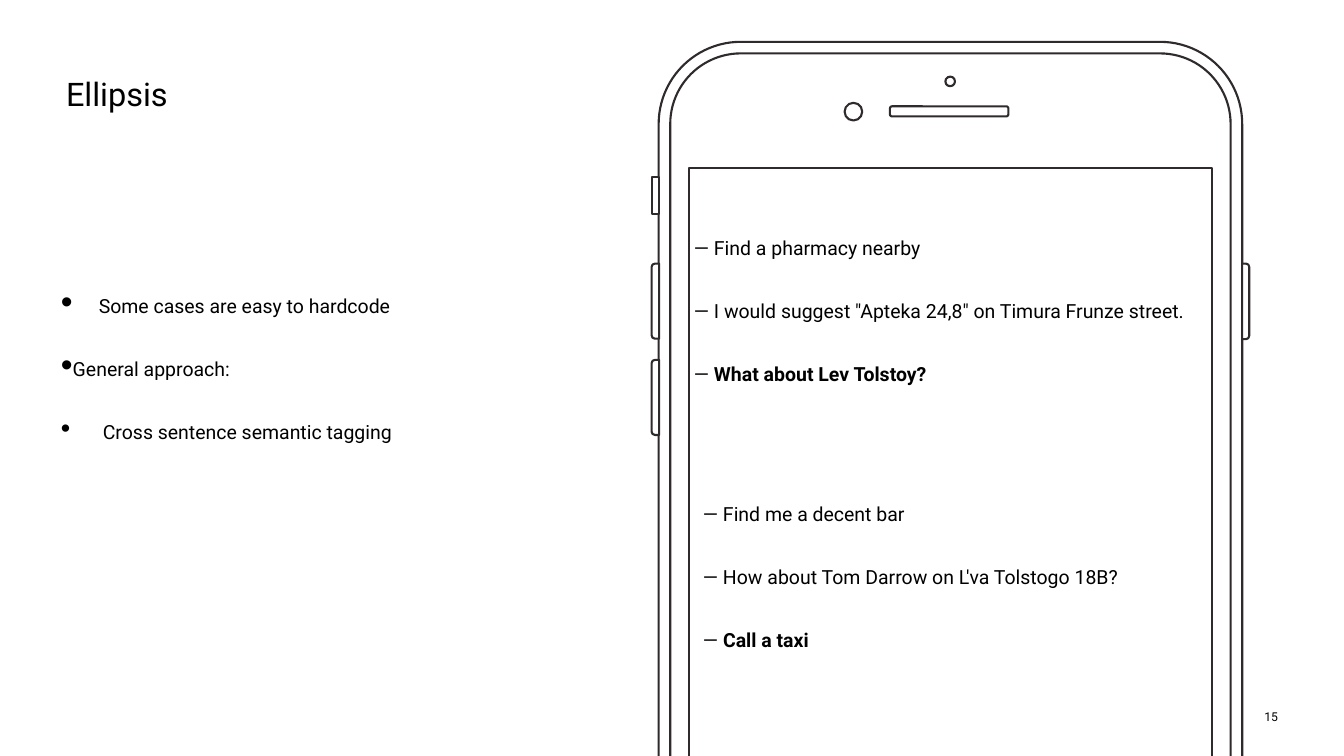
import math

from lxml import etree
from pptx import Presentation
from pptx import util as u
from pptx.dml.color import RGBColor
from pptx.enum import shapes, text
from pptx.oxml.ns import qn

PX = 9144  # EMU in one px, 100 px to the inch
WHITE = RGBColor(0xFF, 0xFF, 0xFF)
BLACK = RGBColor(0x00, 0x00, 0x00)
OUTLINE = RGBColor(0x2F, 0x2A, 0x2B)
FONT = "Roboto"
BODY_LOOK = {"size": 48, "baseline": 6, "line": 60, "before": 30}
TITLE_LOOK = {"size": 80, "baseline": -5, "line": 100, "before": 0}
NUMBER_LOOK = {"size": 30, "baseline": 6, "line": None, "before": 0}

FIRST_TALK = [
    [("— Find a pharmacy nearby", False)],
    [('— I would suggest "Apteka 24,8" on Timura Frunze street.', False)],
    [("— ", False), ("What about Lev Tolstoy?", True)],
]
SECOND_TALK = [
    [("— Find me a decent bar", False)],
    [("— How about Tom Darrow on L'va Tolstogo 18B?", False)],
    [("— ", False), ("Call a taxi", True)],
]
# wording, level, left margin, first-line indent, bullet size in percent
POINTS = [
    ("Some cases are easy to hardcode", 0, 75, -75, 100),
    ("General approach:", 0, 0, -83, 100),
    ("Cross sentence semantic tagging", 1, 83, -150, 80),
]


def place(shape, box):
    for name, value in zip(("left", "top", "width", "height"), box):
        setattr(shape, name, value * PX)


def write(shape, lines, look, anchor, align=text.PP_ALIGN.LEFT,
          fit=text.MSO_AUTO_SIZE.SHAPE_TO_FIT_TEXT):
    """Fill a shape with lines, each a list of (wording, bold) spans."""
    frame = shape.text_frame
    frame_format = {"word_wrap": True, "auto_size": fit, "vertical_anchor": anchor}
    for side in ("left", "right", "top", "bottom"):
        frame_format["margin_" + side] = 6 * PX
    for name, value in frame_format.items():
        setattr(frame, name, value)
    for index, line in enumerate(lines):
        para = frame.add_paragraph() if index else frame.paragraphs[0]
        para.alignment = align
        para.space_before = u.Pt(look["before"])
        if look["line"]:
            para.line_spacing = u.Pt(look["line"])
        for wording, bold in line:
            span = para.add_run()
            span.text = wording
            span.font.color.rgb = BLACK
            span_format = {"name": FONT, "size": u.Pt(look["size"]), "bold": bold}
            for name, value in span_format.items():
                setattr(span.font, name, value)
            span.font._element.set("baseline", str(look["baseline"] * 1000))


def text_box(page, box, lines, look, anchor, align=text.PP_ALIGN.LEFT):
    shape = page.shapes.add_textbox(*(value * PX for value in box))
    write(shape, lines, look, anchor, align)


def title(page, box):
    shape = page.shapes.title
    place(shape, box)
    write(shape, [[("Ellipsis", False)]], TITLE_LOOK, text.MSO_ANCHOR.TOP,
          fit=text.MSO_AUTO_SIZE.NONE)


def bullet_list(page, box):
    shape = page.placeholders[1]
    place(shape, box)
    write(shape, [[(point[0], False)] for point in POINTS], BODY_LOOK,
          text.MSO_ANCHOR.MIDDLE)
    for para, point in zip(shape.text_frame.paragraphs, POINTS):
        _, para.level, margin, indent, percent = point
        properties = para._p.get_or_add_pPr()
        properties.set("marL", str(margin * PX))
        properties.set("indent", str(indent * PX))
        size = etree.SubElement(properties, qn("a:buSzPct"))
        size.set("val", str(percent * 1000))
        etree.SubElement(properties, qn("a:buChar")).set("char", "•")


def outline(shape):
    shape.shadow.inherit = False
    shape.fill.solid()
    shape.fill.fore_color.rgb = WHITE
    shape.line.color.rgb = OUTLINE
    shape.line.width = u.Pt(3)


def part(group, kind, box, radius=0):
    shape = group.shapes.add_shape(kind, *(value * PX for value in box))
    if radius:
        shape.adjustments[0] = radius / min(box[2:])
    outline(shape)


def side_key(group, box, outward, radius=7):
    """Key on the phone's edge, rounded on its outward side (-1 left, 1 right)."""
    left, top, width, height = box
    inner = left if outward > 0 else left + width
    outer = inner + outward * width
    points = [(inner, top)]
    for end, start in ((top + radius, -90), (top + height - radius, 0)):
        for step in range(5):
            angle = math.radians(start + step * 22.5)
            points.append((outer + outward * radius * (math.cos(angle) - 1),
                           end + radius * math.sin(angle)))
    points.append((inner, top + height))
    builder = group.shapes.build_freeform(*points[0], scale=PX)
    builder.add_line_segments(points[1:], close=True)
    outline(builder.convert_to_shape())


def phone(page, box):
    left, top, width, height = box
    rim = 23
    group = page.shapes.add_group_shape()
    kinds = shapes.MSO_SHAPE
    part(group, kinds.ROUNDED_RECTANGLE, box, 163)
    part(group, kinds.ROUNDED_RECTANGLE,
         (left + rim, top + rim, width - 2 * rim, height - 2 * rim), 140)
    part(group, kinds.RECTANGLE, (left + 61, top + 251, 1038, 1853))
    side_key(group, (left + width, top + 440, 14, 150), 1)
    for offset in (440, 631):
        side_key(group, (left - 14, top + offset, 15, 149), -1)
    part(group, kinds.RECTANGLE, (left - 14, top + 269, 15, 72))
    part(group, kinds.OVAL, (left + 369, top + 121, 35, 35))
    part(group, kinds.OVAL, (left + 569, top + 69, 19, 19))
    part(group, kinds.ROUNDED_RECTANGLE, (left + 459, top + 128, 235, 20), 4)
    for talk, offset in ((FIRST_TALK, (64, 314, 1032, 421)),
                         (SECOND_TALK, (82, 883, 1032, 337))):
        x, y, talk_width, talk_height = offset
        text_box(page, (left + x, top + y, talk_width, talk_height), talk,
                 BODY_LOOK, text.MSO_ANCHOR.MIDDLE)


def main():
    deck = Presentation()
    deck.slide_width, deck.slide_height = 2667 * PX, 1500 * PX
    page = deck.slides.add_slide(deck.slide_layouts[1])
    page.background.fill.solid()
    page.background.fill.fore_color.rgb = WHITE
    title(page, (125, 83, 2416, 181))
    bullet_list(page, (115, 527, 1135, 390))
    text_box(page, (2418, 1388, 124, 61), [[("15", False)]], NUMBER_LOOK,
             text.MSO_ANCHOR.BOTTOM, text.PP_ALIGN.RIGHT)
    phone(page, (1307, 83, 1158, 2362))
    deck.save("out.pptx")


if __name__ == "__main__":
    main()
